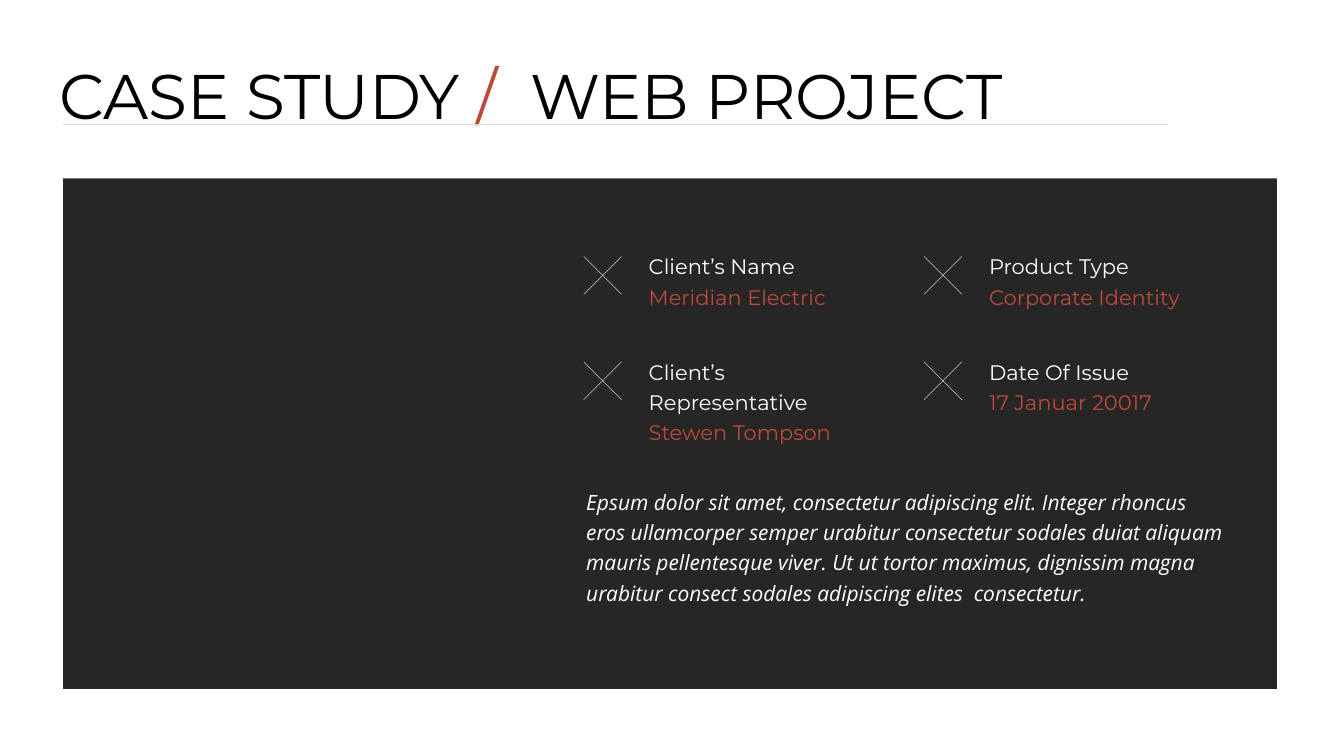
from pptx import Presentation
from pptx.dml.color import RGBColor
from pptx.enum.shapes import MSO_CONNECTOR, MSO_SHAPE
from pptx.enum.text import MSO_ANCHOR, MSO_AUTO_SIZE, PP_ALIGN
from pptx.oxml.ns import qn
from pptx.util import Inches, Pt
from lxml import etree

STRAIGHT = MSO_CONNECTOR.STRAIGHT
RECTANGLE = MSO_SHAPE.RECTANGLE
TOP = MSO_ANCHOR.TOP
GROW = MSO_AUTO_SIZE.SHAPE_TO_FIT_TEXT
LEFT = PP_ALIGN.LEFT

COLORS = {
    "black": "000000",
    "white": "FFFFFF",
    "accent": "BB493C",
    "panel": "262626",
    "rule": "D9D9D9",
}
HEADING_FONT = "Montserrat"
BODY_FONT = "Open Sans"

FACTS = [
    ("Client’s Name", "Meridian Electric"),
    ("Product Type", "Corporate Identity"),
    ("Client’s Representative", "Stewen Tompson"),
    ("Date Of Issue", "17 Januar 20017"),
]
FACT_COLUMNS = 2
SUMMARY = (
    "Epsum dolor sit amet, consectetur adipiscing elit. Integer rhoncus eros "
    "ullamcorper semper urabitur consectetur sodales duiat aliquam mauris "
    "pellentesque viver. Ut ut tortor maximus, dignissim magna urabitur "
    "consect sodales adipiscing elites  consectetur."
)


def rgb(name):
    return RGBColor.from_string(COLORS[name])


def add_run(paragraph, text, size, color, font=HEADING_FONT, italic=False):
    run = paragraph.add_run()
    run.text = text
    run.font.name = font
    run.font.size = Pt(size)
    run.font.italic = italic
    run.font.color.rgb = rgb(color)


def format_frame(frame):
    frame.word_wrap = True
    frame.auto_size = GROW
    frame.vertical_anchor = TOP


def add_line(shapes, start, end, color):
    """Draw a hairline between two (x, y) points in inches."""
    line = shapes.add_connector(STRAIGHT, *map(Inches, start + end))
    line.line.color.rgb = rgb(color)
    line.line.width = Pt(0.5)
    etree.SubElement(line._element.spPr, qn("a:effectLst"))


def add_heading(slide, left, top, width, height):
    title = slide.shapes.title
    title.left, title.top = Inches(left), Inches(top)
    title.width, title.height = Inches(width), Inches(height)
    format_frame(title.text_frame)
    paragraph = title.text_frame.paragraphs[0]
    paragraph.alignment = LEFT
    paragraph.line_spacing = 0.8
    for text, color in [("CASE STUDY ", "black"), ("/", "accent"), ("  WEB PROJECT", "black")]:
        add_run(paragraph, text, 90, color)
    rule_y = top + 1.09
    add_line(slide.shapes, (left + 0.17, rule_y), (left + width, rule_y), "rule")


def add_fact(slide, left, top, label, value):
    """Group a cross mark with a label and its value."""
    mark = 0.75
    shapes = slide.shapes.add_group_shape().shapes
    box = shapes.add_textbox(Inches(left + 1.19), Inches(top), Inches(4.93), Inches(1.31))
    frame = box.text_frame
    format_frame(frame)
    for paragraph, text, color in [
        (frame.paragraphs[0], label, "white"),
        (frame.add_paragraph(), value, "accent"),
    ]:
        paragraph.line_spacing = 1.2
        add_run(paragraph, text, 30, color)

    mark_top = top + 0.2
    mark_bottom = mark_top + mark
    add_line(shapes, (left, mark_top), (left + mark, mark_bottom), "white")
    add_line(shapes, (left, mark_bottom), (left + mark, mark_top), "white")


def add_summary(slide, left, top, width, height):
    box = slide.shapes.add_textbox(Inches(left), Inches(top), Inches(width), Inches(height))
    format_frame(box.text_frame)
    paragraph = box.text_frame.paragraphs[0]
    paragraph.line_spacing = 1.2
    add_run(paragraph, SUMMARY, 30, "white", BODY_FONT, italic=True)


def add_project_panel(slide, left, top, width, height):
    panel = slide.shapes.add_shape(
        RECTANGLE, Inches(left), Inches(top), Inches(width), Inches(height)
    )
    panel.shadow.inherit = False
    panel.fill.solid()
    panel.fill.fore_color.rgb = rgb("panel")
    panel.line.fill.background()

    add_summary(slide, left + 10.28, top + 6.02, 12.93, 2.52)
    for index, (label, value) in enumerate(FACTS):
        row, column = divmod(index, FACT_COLUMNS)
        add_fact(slide, left + 10.33 + column * 6.75, top + 1.35 + row * 2.09, label, value)


def main():
    presentation = Presentation()
    presentation.slide_width = Inches(26.66)
    presentation.slide_height = Inches(15)
    title_only = presentation.slide_layouts[5]
    slide = presentation.slides.add_slide(title_only)
    slide.background.fill.solid()
    slide.background.fill.fore_color.rgb = rgb("white")

    add_heading(slide, 1.08, 1.37, 22.09, 1.31)
    add_project_panel(slide, 1.25, 3.54, 24.08, 10.13)
    presentation.save("out.pptx")


if __name__ == "__main__":
    main()
